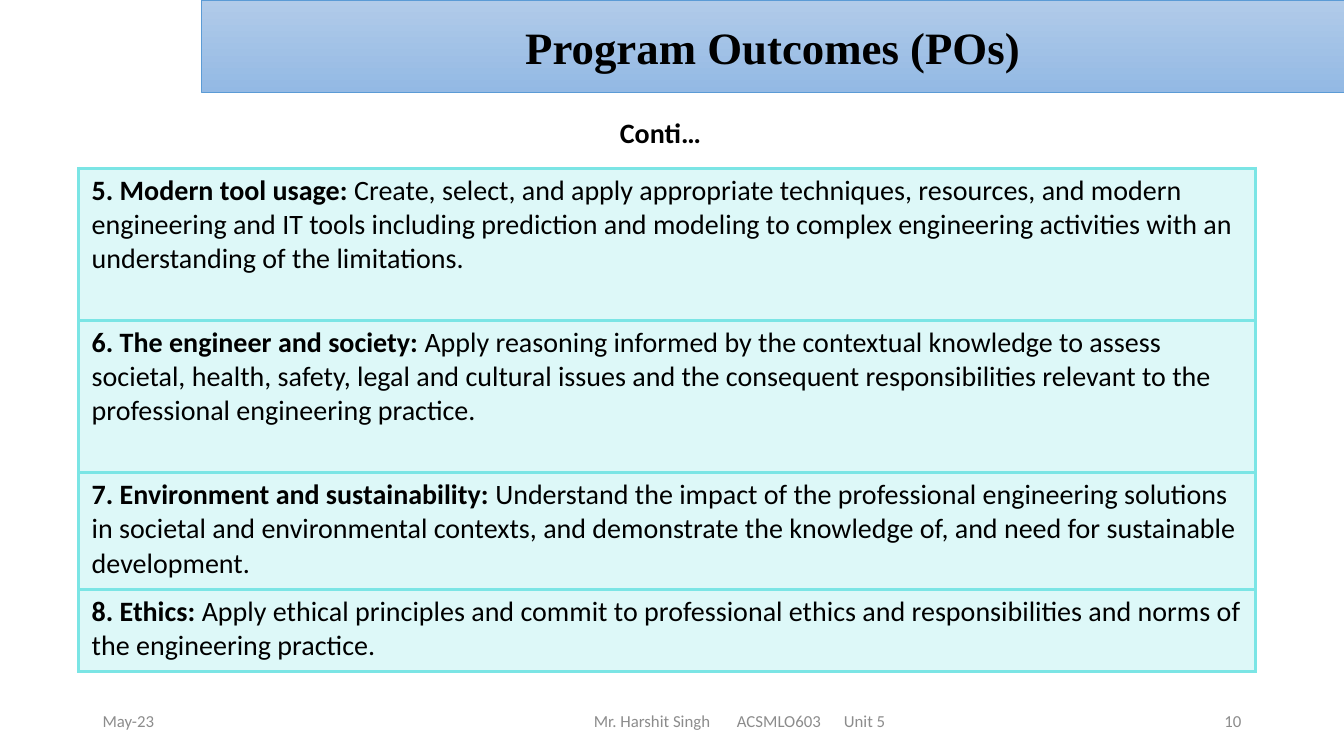
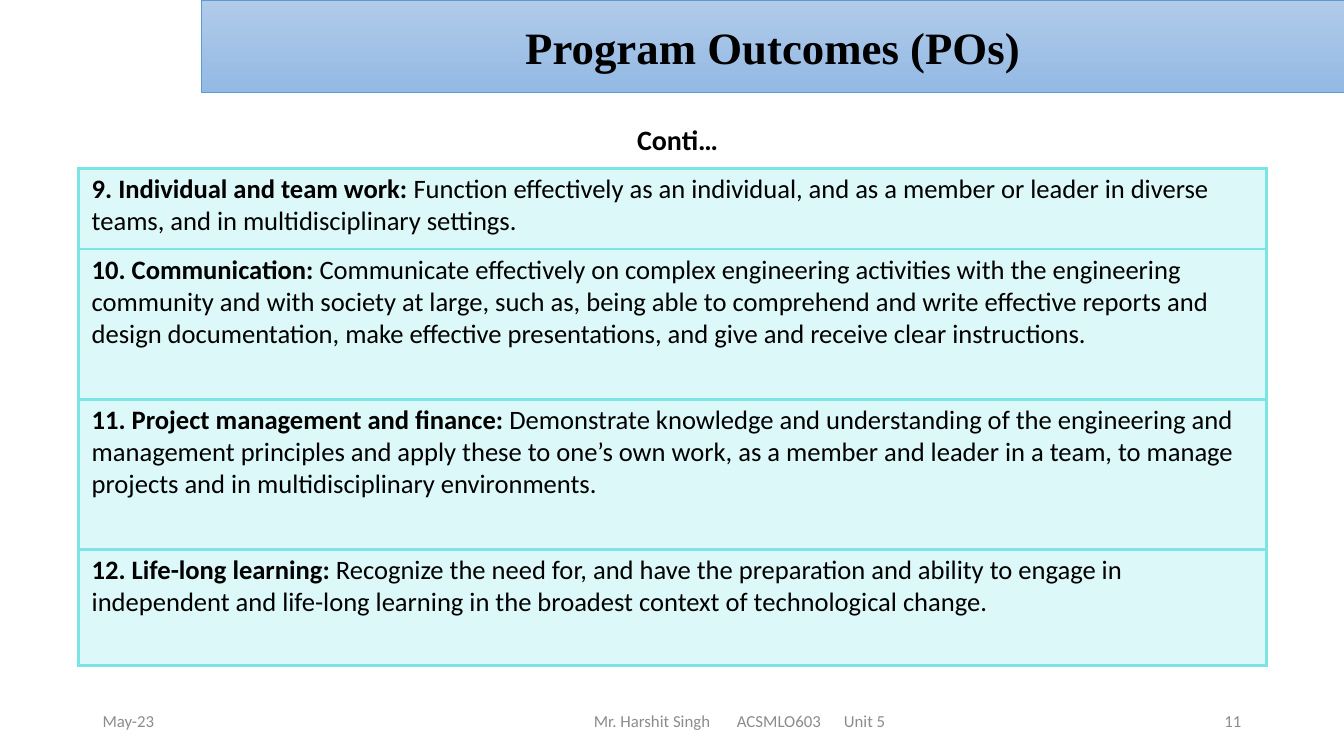
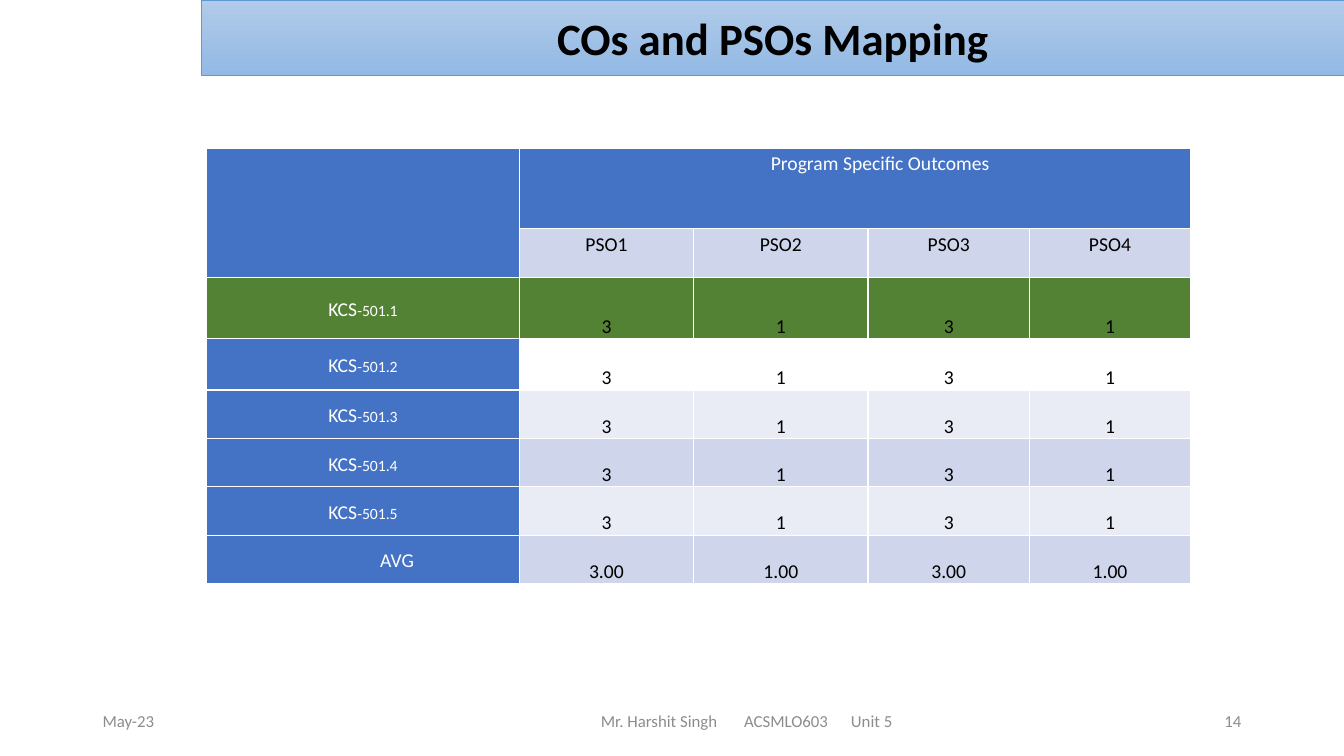
from dataclasses import dataclass
from lxml.etree import SubElement
from pptx import Presentation
from pptx.dml.color import RGBColor
from pptx.enum.shapes import MSO_SHAPE
from pptx.enum.text import MSO_ANCHOR, MSO_AUTO_SIZE, PP_ALIGN
from pptx.oxml import parse_xml
from pptx.oxml.ns import nsdecls, qn
from pptx.util import Inches, Pt


@dataclass(frozen=True)
class Theme:
    body: str = "Calibri"
    serif: str = "Times New Roman"
    black: str = "000000"
    white: str = "FFFFFF"
    grey: str = "8C8C8C"
    band_top: str = "B1CBE9"
    band_bottom: str = "93B9E4"
    band_line: str = "5B9BD5"
    aqua: str = "7BE5E5"
    blue: str = "4472C4"
    green: str = "548235"
    tint: str = "CFD5EA"
    pale: str = "E9EBF5"
    title: int = 32
    lead: int = 20
    cell: int = 14
    footer: int = 12


T = Theme()
W, H = 13.33, 7.5
BAND_LEFT = 2
FOOTER_TOP, FOOTER_H, FOOTER_W, FOOTER_MARGIN = 6.95, 0.4, 3, 0.92
DATE = "May-23"
FOOTER = [("Mr. Harshit Singh", 16.3), ("ACSMLO603", 13.6), ("Unit 5", 0)]

OUTCOMES = [
    dict(
        number="10", conti=(6.05, 1.1), width=11.67, size=20, rows=[1.51, 1.51, 1.16, 0.81],
        items=[
            ("5. Modern tool usage:", "Create, select, and apply appropriate techniques, resources, and modern engineering and IT tools including prediction and modeling to complex engineering activities with an understanding of the limitations."),
            ("6. The engineer and society:", "Apply reasoning informed by the contextual knowledge to assess societal, health, safety, legal and cultural issues and the consequent responsibilities relevant to the professional engineering practice."),
            ("7. Environment and sustainability:", "Understand the impact of the professional engineering solutions in societal and environmental contexts, and demonstrate the knowledge of, and need for sustainable development."),
            ("8. Ethics:", "Apply ethical principles and commit to professional ethics and responsibilities and norms of the engineering practice."),
        ],
    ),
    dict(
        number="11", conti=(6.22, 1.17), width=11.78, size=19, rows=[0.8, 1.49, 1.49, 1.15],
        items=[
            ("9. Individual and team work:", "Function effectively as an individual, and as a member or leader in diverse teams, and in multidisciplinary settings."),
            ("10. Communication:", "Communicate effectively on complex engineering activities with the engineering community and with society at large, such as, being able to comprehend and write effective reports and design documentation, make effective presentations, and give and receive clear instructions."),
            ("11. Project management and finance:", "Demonstrate knowledge and understanding of the engineering and management principles and apply these to one’s own work, as a member and leader in a team, to manage projects and in multidisciplinary environments."),
            ("12. Life-long learning:", "Recognize the need for, and have the preparation and ability to engage in independent and life-long learning in the broadest context of technological change."),
        ],
    ),
]

MAP_COLS = [3.1, 1.73, 1.73, 1.6, 1.6]
MAP_ROWS = [0.8, 0.48, 0.61, 0.51, 0.48, 0.48, 0.48, 0.48]
MAP_HEADING = "Program Specific Outcomes"
PSOS = ["PSO1", "PSO2", "PSO3", "PSO4"]
SCORES = ["3", "1", "3", "1"]
MAPPING = [
    ("KCS-501.1", SCORES, T.green, T.green),
    ("KCS-501.2", SCORES, T.blue, None),
    ("KCS-501.3", SCORES, T.blue, T.pale),
    ("KCS-501.4", SCORES, T.blue, T.tint),
    ("KCS-501.5", SCORES, T.blue, T.pale),
    ("AVG", ["3.00", "1.00", "3.00", "1.00"], T.blue, T.tint),
]


def rgb(value):
    return RGBColor.from_string(value)


def style(p, size, color=T.black, name=T.body, bold=False, align=None):
    p.alignment = align
    f = p.font
    f.size, f.name, f.bold = Pt(size), name, bold
    f.color.rgb = rgb(color)


def add_text(s, x, y, w, h, text, size, wrap=True, **look):
    tf = s.shapes.add_textbox(*map(Inches, (x, y, w, h))).text_frame
    tf.word_wrap = wrap
    p = tf.paragraphs[0]
    if text:
        p.text = text
    style(p, size, **look)
    return tf


def add_band(s, title, height, name):
    sp = s.shapes.add_shape(MSO_SHAPE.RECTANGLE, *map(Inches, (BAND_LEFT, 0, W - BAND_LEFT, height)))
    sp.shadow.inherit = False
    sp.fill.gradient()
    sp.fill.gradient_angle = 270
    for stop, color in zip(sp.fill.gradient_stops, (T.band_top, T.band_bottom)):
        stop.color.rgb = rgb(color)
    sp.line.color.rgb = rgb(T.band_line)
    sp.line.width = Pt(0.5)
    tf = sp.text_frame
    tf.vertical_anchor = MSO_ANCHOR.MIDDLE
    p = tf.paragraphs[0]
    p.text = title
    style(p, T.title, name=name, bold=True, align=PP_ALIGN.CENTER)


def add_footer(s, number, left, width):
    right = W - FOOTER_MARGIN - FOOTER_W
    boxes = [
        (FOOTER_MARGIN, FOOTER_W, DATE, PP_ALIGN.LEFT),
        (left, width, "", PP_ALIGN.CENTER),
        (right, FOOTER_W, number, PP_ALIGN.RIGHT),
    ]
    for x, w, text, align in boxes:
        tf = add_text(s, x, FOOTER_TOP, w, FOOTER_H, text, T.footer, color=T.grey, align=align)
        tf.vertical_anchor = MSO_ANCHOR.MIDDLE
        if not text:
            for part, gap in FOOTER:
                tf.paragraphs[0].add_run().text = part
                if gap:
                    r = tf.paragraphs[0].add_run()
                    r.text = " "
                    r._r.get_or_add_rPr().set("spc", str(round(gap * 100)))


def new_slide(prs, title, number, band_h=0.92, name=T.serif, footer=(3.67, 7.33)):
    s = prs.slides.add_slide(prs.slide_layouts[6])
    add_band(s, title, band_h, name)
    add_footer(s, number, *footer)
    return s


def add_grid(s, x, y, cols, rows, border, line):
    frame = s.shapes.add_table(len(rows), len(cols), *map(Inches, (x, y, sum(cols), sum(rows))))
    table = frame.table
    table.first_row = table.horz_banding = False
    for col, w in zip(table.columns, cols):
        col.width = Inches(w)
    for row, h in zip(table.rows, rows):
        row.height = Inches(h)
    for cell in table.iter_cells():
        tcPr = cell._tc.get_or_add_tcPr()
        for i, side in enumerate("LRTB"):
            tcPr.insert(i, parse_xml(
                f'<a:ln{side} {nsdecls("a")} w="{Pt(line)}"><a:solidFill>'
                f'<a:srgbClr val="{border}"/></a:solidFill></a:ln{side}>'))
    return table


def fill_cell(cell, color, alpha=None):
    if color is None:
        cell.fill.background()
        return
    cell.fill.solid()
    cell.fill.fore_color.rgb = rgb(color)
    if alpha:
        clr = cell._tc.tcPr.find(qn("a:solidFill")).find(qn("a:srgbClr"))
        SubElement(clr, qn("a:alpha")).set("val", str(alpha * 1000))


def map_cell(cell, text, fill, color=T.black, anchor=MSO_ANCHOR.TOP, after=None, indent=0, small=False):
    fill_cell(cell, fill)
    cell.margin_top = cell.margin_bottom = 0
    cell.vertical_anchor = anchor
    p = cell.text_frame.paragraphs[0]
    r = p.add_run()
    r.text = text
    if small:
        r._r.get_or_add_rPr().set("cap", "small")
    style(p, T.cell, color, align=PP_ALIGN.CENTER)
    p.line_spacing = 1.15
    if after:
        p.space_after = Pt(after)
    if indent:
        p._p.get_or_add_pPr().set("marL", str(Inches(indent)))


def outcomes_slide(prs, data):
    s = new_slide(prs, "Program Outcomes (POs)", data["number"])
    tf = add_text(s, *data["conti"], 1.01, 0.44, "Conti…", T.lead, wrap=False, bold=True)
    tf.auto_size = MSO_AUTO_SIZE.SHAPE_TO_FIT_TEXT
    table = add_grid(s, 0.78, 1.67, [data["width"]], data["rows"], T.aqua, 2.25)
    for cell, (head, text) in zip(table.iter_cells(), data["items"]):
        fill_cell(cell, T.aqua, 25)
        cell.margin_left = cell.margin_right = Inches(0.13)
        p = cell.text_frame.paragraphs[0]
        style(p, data["size"])
        for part, bold in ((head + " ", True), (text, False)):
            r = p.add_run()
            r.text = part
            r.font.bold = bold


def mapping_slide(prs):
    s = new_slide(prs, "COs and PSOs Mapping", "14", 0.75, T.body, (3.31, 8.19))
    table = add_grid(s, 2.05, 1.47, MAP_COLS, MAP_ROWS, T.white, 1)
    corner, heading = table.cell(0, 0), table.cell(0, 1)
    corner.merge(table.cell(1, 0))
    heading.merge(table.cell(0, len(PSOS)))
    fill_cell(corner, T.blue)
    map_cell(heading, MAP_HEADING, T.blue, T.white, after=10, indent=0.5)
    for c, pso in enumerate(PSOS, 1):
        map_cell(table.cell(1, c), pso, T.tint)
    for r, (label, scores, label_fill, fill) in enumerate(MAPPING, 2):
        map_cell(table.cell(r, 0), label, label_fill, T.white, MSO_ANCHOR.MIDDLE,
                 indent=0.34 if label == "AVG" else 0, small=True)
        for c, score in enumerate(scores, 1):
            map_cell(table.cell(r, c), score, fill, anchor=MSO_ANCHOR.BOTTOM, after=10)


def main():
    prs = Presentation()
    prs.slide_width, prs.slide_height = Inches(W), Inches(H)
    for data in OUTCOMES:
        outcomes_slide(prs, data)
    mapping_slide(prs)
    prs.save("out.pptx")


if __name__ == "__main__":
    main()
